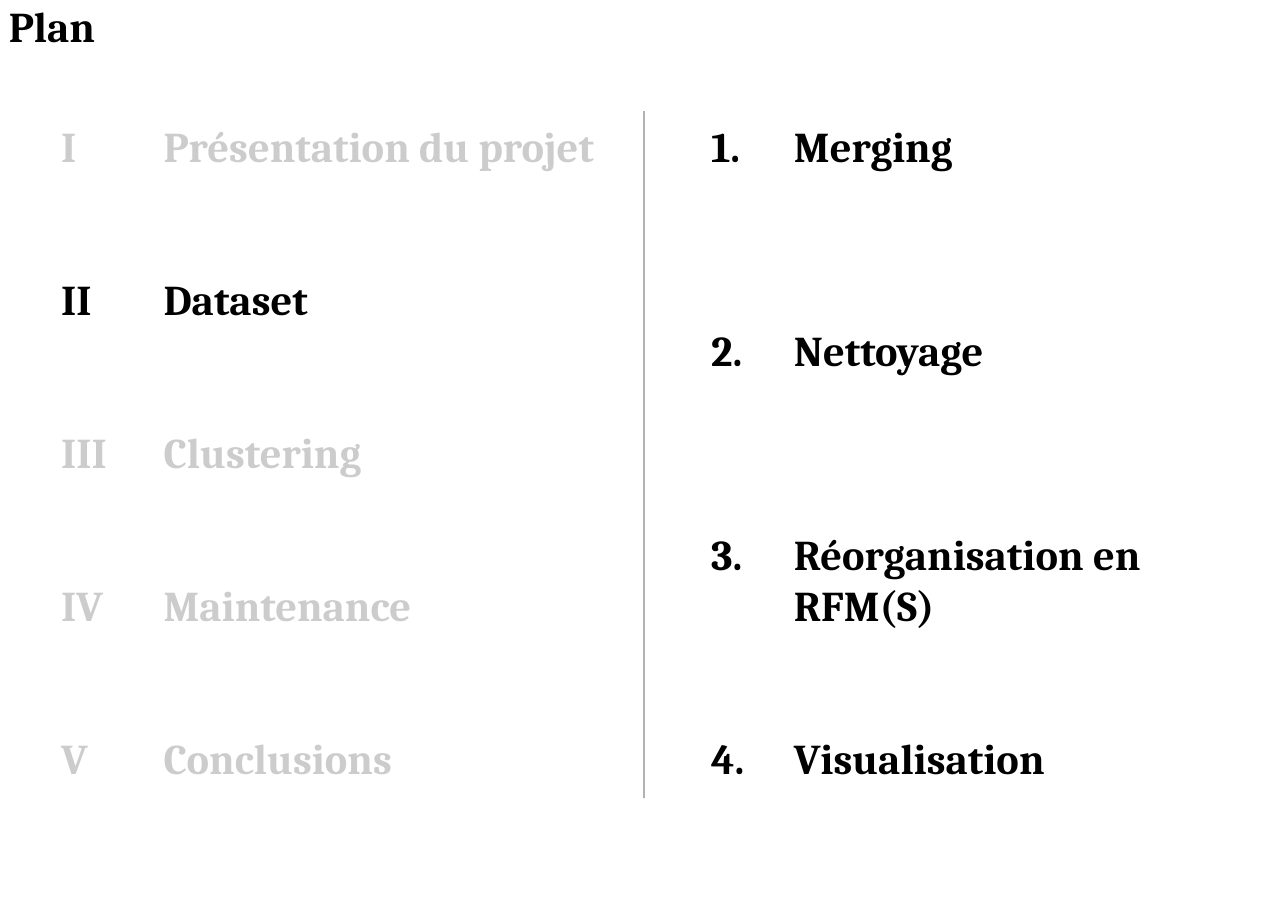
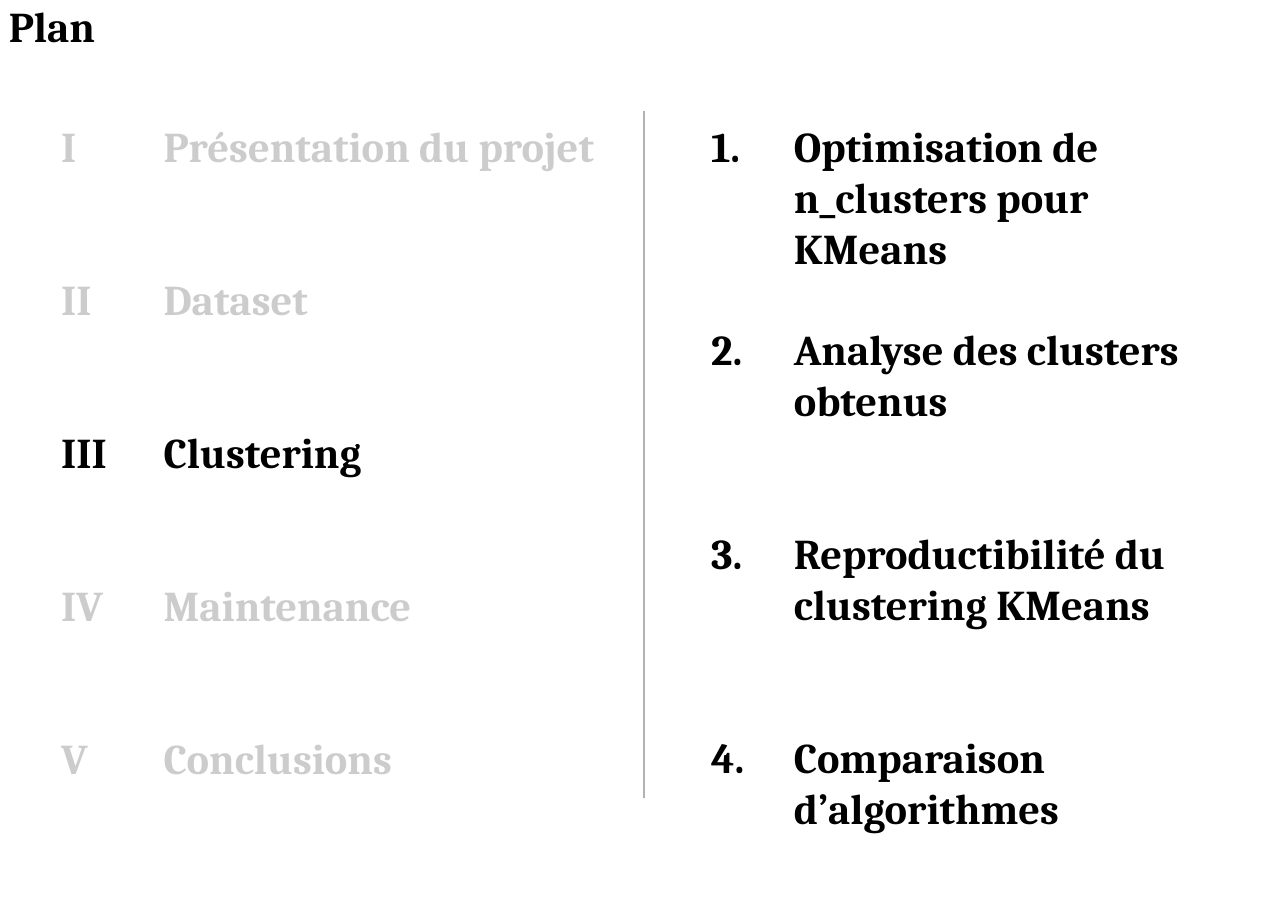
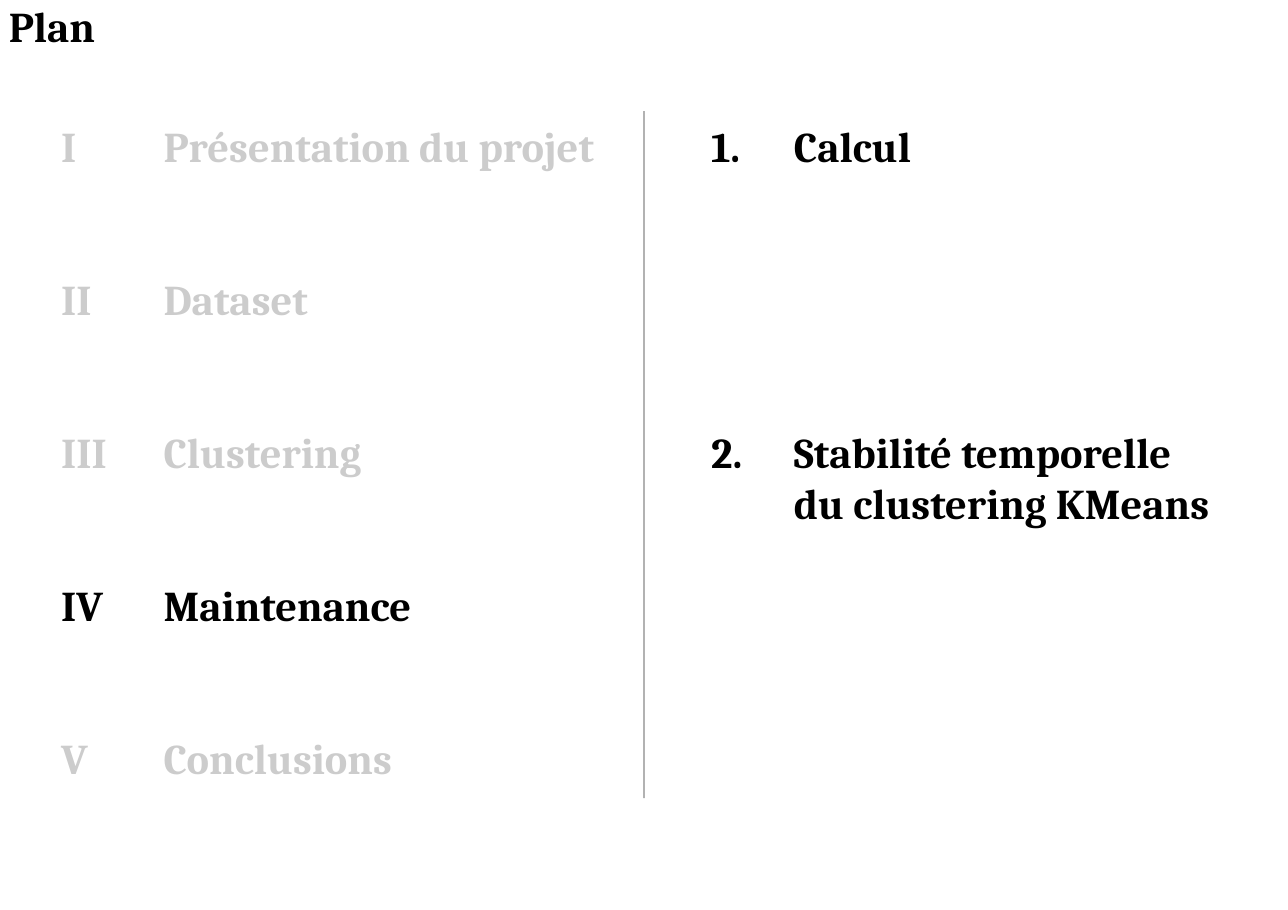
from dataclasses import dataclass

from lxml.etree import SubElement
from pptx import Presentation
from pptx.dml.color import RGBColor
from pptx.enum.shapes import MSO_CONNECTOR as Connector
from pptx.enum.shapes import MSO_SHAPE as Preset
from pptx.enum.text import MSO_AUTO_SIZE as AutoSize
from pptx.oxml.ns import qn
from pptx.slide import Slide
from pptx.util import Inches, Pt


# Shared look
@dataclass(frozen=True)
class Theme:
    font: str = "Cambria"
    size: float = 14
    line_height: float = 16.85  # points taken by one line of text
    ink: RGBColor = RGBColor(0, 0, 0)
    paper: RGBColor = RGBColor(255, 255, 255)
    rule_width: float = 0.5
    rule_opacity: int = 30
    veil_opacity: int = 80


@dataclass(frozen=True)
class Entry:
    text: str
    lines_before: int = 0  # empty lines above the entry
    lines: int = 1  # lines the entry fills


@dataclass(frozen=True)
class Plan:
    veil_above_bottom: float
    veil_below_top: float
    steps: tuple[Entry, ...]


THEME = Theme()
# The page measures 15 by 10.6 centimetres
SLIDE_WIDTH, SLIDE_HEIGHT = 15 / 2.54, 10.6 / 2.54
TOP = 0.55
TITLE_WIDTH = 3.48
STEP_INDENT = 0.38
RULE_X, RULE_TOP, RULE_BOTTOM = SLIDE_WIDTH / 2, 0.51, 3.66
VEIL_LEFT, VEIL_WIDTH = 0.16, 2.67
VEIL_TOP, VEIL_BOTTOM = 0.31, 3.64

CHAPTERS = (
    ("I", "Présentation du projet"),
    ("II", "Dataset"),
    ("III", "Clustering"),
    ("IV", "Maintenance"),
    ("V", "Conclusions"),
)

PLANS = (
    Plan(1.16, 1.89, (
        Entry("Merging"),
        Entry("Nettoyage", 3),
        Entry("Réorganisation en RFM(S)", 3, 2),
        Entry("Visualisation", 2),
    )),
    Plan(1.6, 2.39, (
        Entry("Optimisation de n_clusters pour KMeans", 0, 3),
        Entry("Analyse des clusters obtenus", 1, 2),
        Entry("Reproductibilité du clustering KMeans", 2, 2),
        Entry("Comparaison d’algorithmes", 2, 2),
    )),
    Plan(2.37, 3.08, (
        Entry("Calcul"),
        Entry("Stabilité temporelle du clustering KMeans", 5, 2),
    )),
)


# Drawing helpers
def set_opacity(shape, percent: int) -> None:
    for color in shape.element.iter(qn("a:srgbClr")):
        SubElement(color, qn("a:alpha")).set("val", str(percent * 1000))


def add_text(slide: Slide, left: float, top: float, width: float,
             entries: tuple[Entry, ...], numbered: bool = False) -> None:
    line_count = sum(entry.lines_before + entry.lines for entry in entries)
    box = slide.shapes.add_textbox(Inches(left), Inches(top), Inches(width),
                                   Pt(line_count * THEME.line_height))
    frame = box.text_frame
    frame.word_wrap = True
    frame.auto_size = AutoSize.SHAPE_TO_FIT_TEXT
    frame.margin_left = frame.margin_right = Inches(0.04)
    frame.margin_top = frame.margin_bottom = 0
    for index, entry in enumerate(entries):
        paragraph = frame.add_paragraph() if index else frame.paragraphs[0]
        paragraph.text = entry.text
        if numbered:
            properties = paragraph._p.get_or_add_pPr()
            properties.set("marL", str(Inches(STEP_INDENT)))
            properties.set("indent", str(-Inches(STEP_INDENT)))
            SubElement(properties, qn("a:buAutoNum")).set("type", "arabicPeriod")
        if entry.lines_before:
            paragraph.space_before = Pt(entry.lines_before * THEME.line_height)
        font = paragraph.font
        font.name, font.size, font.bold = THEME.font, Pt(THEME.size), True
        font.color.rgb = THEME.ink


def add_veil(slide: Slide, top: float, bottom: float) -> None:
    veil = slide.shapes.add_shape(Preset.RECTANGLE, Inches(VEIL_LEFT), Inches(top),
                                  Inches(VEIL_WIDTH), Inches(bottom - top))
    veil.shadow.inherit = False
    veil.fill.solid()
    veil.fill.fore_color.rgb = THEME.paper
    veil.line.fill.background()
    set_opacity(veil, THEME.veil_opacity)


def add_rule(slide: Slide) -> None:
    rule = slide.shapes.add_connector(Connector.STRAIGHT, Inches(RULE_X), Inches(RULE_TOP),
                                      Inches(RULE_X), Inches(RULE_BOTTOM))
    rule.line.color.rgb = THEME.ink
    rule.line.width = Pt(THEME.rule_width)
    set_opacity(rule, THEME.rule_opacity)
    SubElement(rule.element.spPr, qn("a:effectLst"))


def chapter_column(texts: tuple[str, ...]) -> tuple[Entry, ...]:
    return tuple(Entry(text, 2 if index else 0) for index, text in enumerate(texts))


def add_plan(slide: Slide, plan: Plan) -> None:
    # Title and chapters
    add_text(slide, 0, 0, TITLE_WIDTH, (Entry("Plan"),))
    numerals, names = zip(*CHAPTERS)
    add_text(slide, 0.24, TOP, TITLE_WIDTH, chapter_column(numerals))
    add_text(slide, 0.71, TOP, 4.85, chapter_column(names))
    add_rule(slide)
    # Veils fade every chapter but the current one
    add_veil(slide, VEIL_TOP, plan.veil_above_bottom)
    add_veil(slide, plan.veil_below_top, VEIL_BOTTOM)
    # Steps of the current chapter
    add_text(slide, 3.22, TOP, 2.45, plan.steps, numbered=True)


def main() -> None:
    presentation = Presentation()
    presentation.slide_width = Inches(SLIDE_WIDTH)
    presentation.slide_height = Inches(SLIDE_HEIGHT)
    # The default size is labelled 4:3, which no longer holds
    presentation.element.find(qn("p:sldSz")).attrib.pop("type", None)
    blank = presentation.slide_layouts[6]
    for plan in PLANS:
        add_plan(presentation.slides.add_slide(blank), plan)
    presentation.save("out.pptx")


if __name__ == "__main__":
    main()
